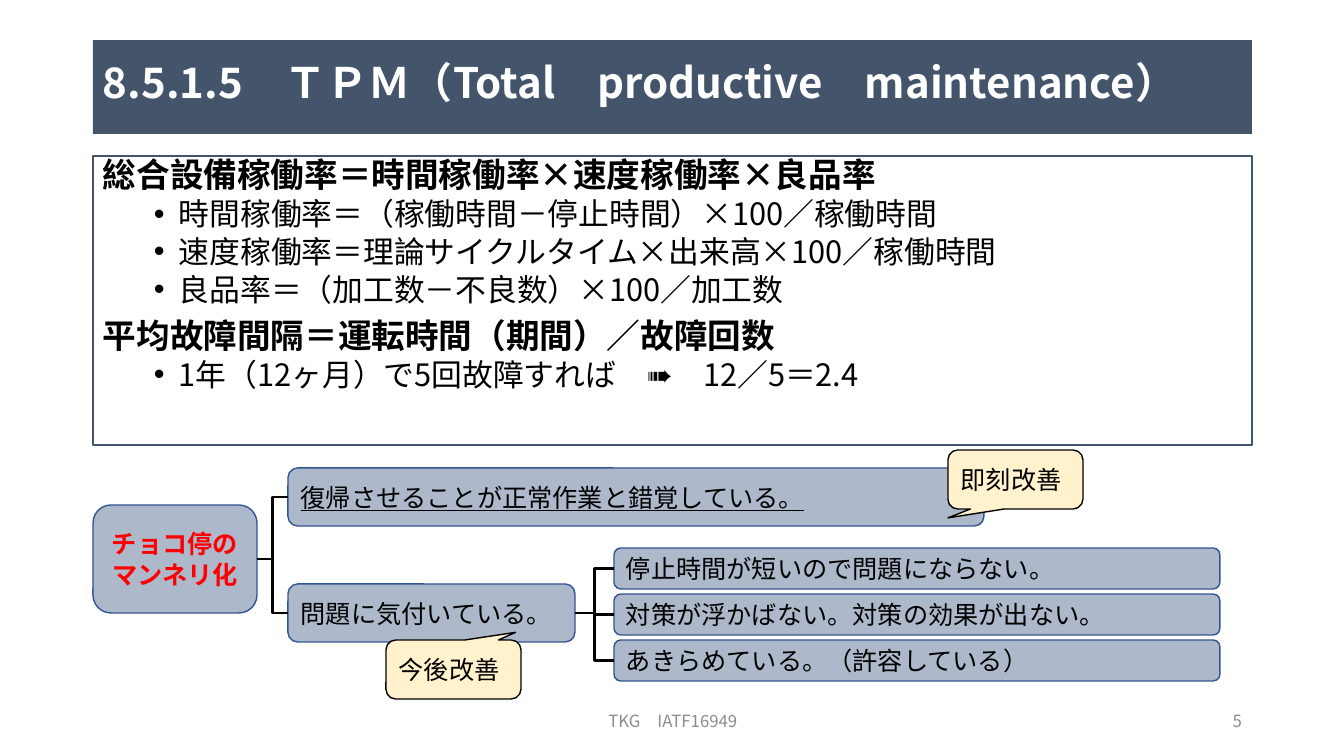
"""Build the TPM slide: equipment rate formulas and a cause tree for minor stops."""
from lxml.etree import SubElement
from pptx import Presentation
from pptx.dml.color import RGBColor
from pptx.enum.shapes import MSO_CONNECTOR, MSO_SHAPE
from pptx.enum.text import MSO_ANCHOR, PP_ALIGN
from pptx.oxml.ns import qn
from pptx.util import Pt

PX = 914400 / 100.8
FONT = "Noto Sans CJK JP"
SLATE = RGBColor(0x44, 0x54, 0x6A)
STEEL = RGBColor(0xAD, 0xB9, 0xCA)
BLUE = RGBColor(0x32, 0x54, 0x91)
CREAM = RGBColor(0xFF, 0xF2, 0xCC)
GREY = RGBColor(0x8C, 0x8C, 0x8C)
RED = RGBColor(0xFF, 0x00, 0x00)
BLACK = RGBColor(0x00, 0x00, 0x00)
WHITE = RGBColor(0xFF, 0xFF, 0xFF)

deck = Presentation()
deck.slide_width, deck.slide_height = round(1344 * PX), round(756 * PX)
page = deck.slides.add_slide(deck.slide_layouts[6])


def write(para, text, size=18, color=BLACK, bold=False, underline=None,
          align=PP_ALIGN.LEFT, spacing=None, before=None, bullet=False):
    """Put formatted text in a paragraph."""
    para.alignment = align
    if spacing:
        para.line_spacing = spacing
    if before:
        para.space_before = Pt(before)
    if bullet:
        para.level = 1
        properties = para._p.get_or_add_pPr()
        properties.set("marL", str(round(76 * PX)))
        properties.set("indent", str(round(-25 * PX)))
        SubElement(properties, qn("a:buFont"), typeface="Arial")
        SubElement(properties, qn("a:buChar"), char="•")
    span = para.add_run()
    span.text = text
    span.font.name = FONT
    SubElement(span._r.get_or_add_rPr(), qn("a:ea"), typeface=FONT)
    span.font.size = Pt(size)
    span.font.bold = bold
    span.font.underline = underline
    span.font.color.rgb = color


def add_box(kind, place, fill=None, line=None, anchor=MSO_ANCHOR.MIDDLE):
    """Add a shape at left, top, width, height in px."""
    box = page.shapes.add_shape(kind, *(round(value * PX) for value in place))
    box.shadow.inherit = False
    if fill is None:
        box.fill.background()
    else:
        box.fill.solid()
        box.fill.fore_color.rgb = fill
    if line is None:
        box.line.fill.background()
    else:
        box.line.color.rgb = line
        box.line.width = Pt(1)
    box.text_frame.word_wrap = True
    box.text_frame.vertical_anchor = anchor
    return box


title = add_box(MSO_SHAPE.RECTANGLE, (93, 40, 1159, 94), fill=SLATE)
write(title.text_frame.paragraphs[0], "8.5.1.5　ＴＰＭ（Total　productive　maintenance）",
      size=30, color=WHITE, bold=True, spacing=0.74)

formulas = [
    ("総合設備稼働率＝時間稼働率×速度稼働率×良品率", False),
    ("時間稼働率＝（稼働時間－停止時間）×100／稼働時間", True),
    ("速度稼働率＝理論サイクルタイム×出来高×100／稼働時間", True),
    ("良品率＝（加工数－不良数）×100／加工数", True),
    ("平均故障間隔＝運転時間（期間）／故障回数", False),
    ("1年（12ヶ月）で5回故障すれば　➠　12／5＝2.4", True),
]
body = add_box(MSO_SHAPE.RECTANGLE, (93, 156, 1159, 289), line=SLATE, anchor=MSO_ANCHOR.TOP)
for index, (text, detail) in enumerate(formulas):
    para = body.text_frame.add_paragraph() if index else body.text_frame.paragraphs[0]
    before = (5 if detail else 10) if index else None
    write(para, text, size=22 if detail else 24, bold=not detail,
          spacing=0.83, before=before, bullet=detail)

footers = [
    ("TKG　IATF16949", (446, 701, 454, 40), PP_ALIGN.CENTER),
    ("5", (950, 701, 302, 40), PP_ALIGN.RIGHT),
]
for text, place, align in footers:
    footer = page.shapes.add_textbox(*(round(value * PX) for value in place))
    footer.text_frame.word_wrap = True
    footer.text_frame.vertical_anchor = MSO_ANCHOR.MIDDLE
    write(footer.text_frame.paragraphs[0], text, size=12, color=GREY, align=align)

root_style = {"color": RED, "bold": True, "align": PP_ALIGN.CENTER}
nodes = [
    ("チョコ停のマンネリ化", (93, 505, 164, 108), None, root_style),
    ("復帰させることが正常作業と錯覚している。", (288, 468, 696, 58), 0, {"underline": True}),
    ("問題に気付いている。", (288, 584, 287, 58), 0, {}),
]
reasons = [
    "停止時間が短いので問題にならない。",
    "対策が浮かばない。対策の効果が出ない。",
    "あきらめている。（許容している）",
]
for row, text in enumerate(reasons):
    nodes.append((text, (614, 548 + 46 * row, 606, 41), 2, {}))

boxes = []
for text, place, parent, style in nodes:
    box = add_box(MSO_SHAPE.ROUNDED_RECTANGLE, place, fill=STEEL, line=BLUE)
    write(box.text_frame.paragraphs[0], text, **style)
    boxes.append(box)
    if parent is not None:
        link = page.shapes.add_connector(MSO_CONNECTOR.ELBOW, 0, 0, 0, 0)
        link.begin_connect(boxes[parent], 3)
        link.end_connect(box, 1)
        link.line.color.rgb = BLACK
        link.line.width = Pt(1.5)
        SubElement(link._element.spPr, qn("a:effectLst"))

callouts = [
    ("即刻改善", (948, 450, 135, 59), (-0.5, 0.65)),
    ("今後改善", (386, 640, 135, 59), (0.46, -0.63)),
]
for text, place, tip in callouts:
    callout = add_box(MSO_SHAPE.ROUNDED_RECTANGULAR_CALLOUT, place, fill=CREAM, line=BLACK)
    callout.adjustments[0], callout.adjustments[1] = tip
    write(callout.text_frame.paragraphs[0], text)

deck.save("out.pptx")
